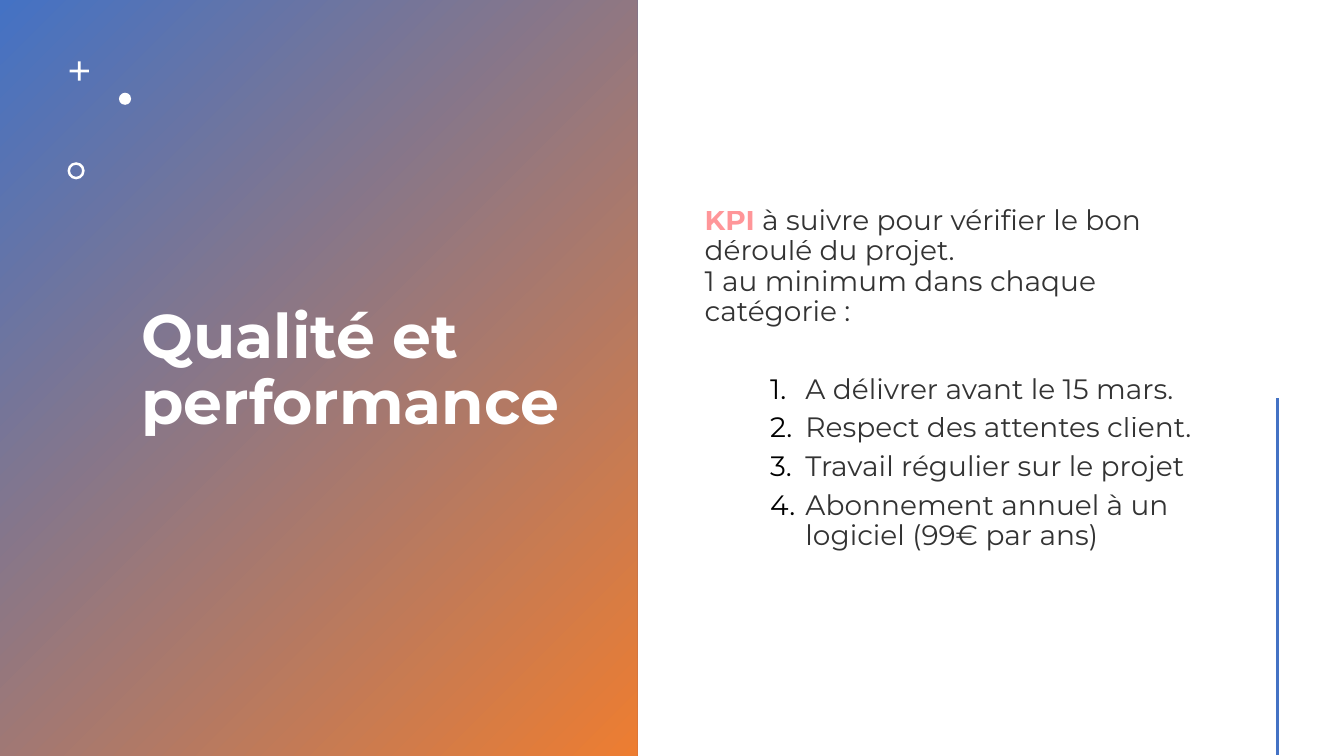
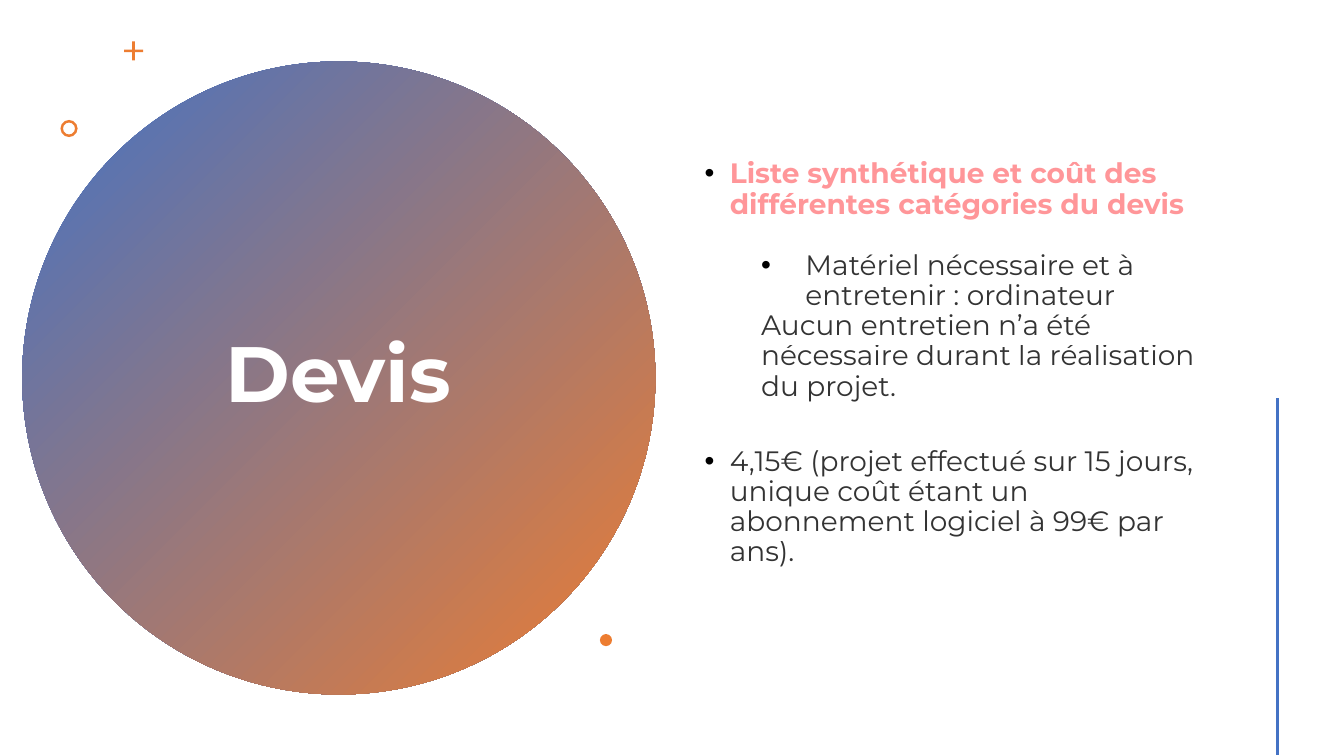
from lxml.etree import SubElement
from pptx import Presentation
from pptx.dml.color import RGBColor
from pptx.enum.shapes import MSO_CONNECTOR, MSO_SHAPE
from pptx.enum.text import MSO_ANCHOR, MSO_AUTO_SIZE, PP_ALIGN
from pptx.oxml.ns import qn
from pptx.util import Inches, Pt

BLUE = RGBColor(0x44, 0x72, 0xC4)
ORANGE = RGBColor(0xED, 0x7D, 0x31)
PINK = RGBColor(0xFF, 0x7C, 0x80)
BLACK = RGBColor(0, 0, 0)
WHITE = RGBColor(0xFF, 0xFF, 0xFF)
FONT = "Montserrat"

SLIDES = [
    {
        "title": ("Qualité et performance", 44, PP_ALIGN.LEFT, (1.3, 0.42, 4.38, 6.53)),
        "panel": (MSO_SHAPE.RECTANGLE, (0, 0, 6.32, 7.5)),
        "marks": (WHITE, (0.69, 0.61), (1.18, 0.92), (0.67, 1.61)),
        "body_top": 0.57,
        "body": [
            ([("KPI", True), (" à suivre pour vérifier le bon déroulé du projet.", False)], 0, 0, None, 0),
            ([("1 au minimum dans chaque catégorie :", False)], 0, 0, None, 0),
            ([("A délivrer avant le 15 mars.", False)], 1, -0.35, "1.", 34),
            ([("Respect des attentes client.", False)], 1, -0.35, "1.", 6),
            ([("Travail régulier sur le projet", False)], 1, -0.35, "1.", 6),
            ([("Abonnement annuel à un logiciel (99€ par ans)", False)], 1, -0.35, "1.", 6),
        ],
    },
    {
        "title": ("Devis", 56, PP_ALIGN.CENTER, (1.36, 1.41, 3.99, 4.67)),
        "panel": (MSO_SHAPE.OVAL, (0.22, 0.61, 6.28, 6.28)),
        "marks": (ORANGE, (1.23, 0.41), (5.95, 6.29), (0.6, 1.19)),
        "body_top": 0.42,
        "body": [
            ([("Liste synthétique et coût des différentes catégories du devis", True)], 0.25, -0.25, "•", 0),
            ([("Matériel nécessaire et à entretenir : ordinateur", False)], 1, -0.44, "•", 22),
            ([("Aucun entretien n’a été nécessaire durant la réalisation du projet.", False)], 0.56, 0, None, 0),
            ([("4,15€ (projet effectué sur 15 jours, unique coût étant un abonnement "
               "logiciel à 99€ par ans).", False)], 0.25, -0.25, "•", 32),
        ],
    },
]


def add_flat_shape(s, kind, box):
    sp = s.shapes.add_shape(kind, *map(Inches, box))
    sp.shadow.inherit = False
    sp.line.fill.background()
    return sp


def set_bullet(p, left, indent, bullet):
    pPr = p._p.get_or_add_pPr()
    pPr.set("marL", str(Inches(left)))
    pPr.set("indent", str(Inches(indent)))
    if bullet is None:
        SubElement(pPr, qn("a:buNone"))
        return
    SubElement(SubElement(pPr, qn("a:buClr")), qn("a:srgbClr"), val=str(BLACK))
    if bullet == "1.":
        SubElement(pPr, qn("a:buFont"), typeface=FONT)
        SubElement(pPr, qn("a:buAutoNum"), type="arabicPeriod")
    else:
        SubElement(pPr, qn("a:buFont"), typeface="Arial")
        SubElement(pPr, qn("a:buChar"), char=bullet)


prs = Presentation()
prs.slide_width, prs.slide_height = Inches(13.33), Inches(7.5)

for content in SLIDES:
    s = prs.slides.add_slide(prs.slide_layouts[5])

    panel = add_flat_shape(s, *content["panel"])
    panel.fill.gradient()
    panel.fill.gradient_angle = 315
    for stop, color in zip(panel.fill.gradient_stops, (BLUE, ORANGE)):
        stop.color.rgb = color
    s.shapes._spTree.insert(2, panel._element)

    text, size, align, box = content["title"]
    title = s.shapes.title
    title.left, title.top, title.width, title.height = map(Inches, box)
    tf = title.text_frame
    tf.text = text
    tf.word_wrap = True
    tf.auto_size = MSO_AUTO_SIZE.NONE
    tf.vertical_anchor = MSO_ANCHOR.MIDDLE
    p = tf.paragraphs[0]
    p.alignment = align
    p.line_spacing = 0.9
    font = p.runs[0].font
    font.name, font.size, font.bold = FONT, Pt(size), True
    font.color.rgb = WHITE

    color, plus, dot, ring = content["marks"]
    for kind, (x, y), size, adjust in (
        (MSO_SHAPE.CROSS, plus, 0.19, 0.43),
        (MSO_SHAPE.OVAL, dot, 0.12, None),
        (MSO_SHAPE.DONUT, ring, 0.17, 0.15),
    ):
        mark = add_flat_shape(s, kind, (x, y, size, size))
        mark.fill.solid()
        mark.fill.fore_color.rgb = color
        if adjust is not None:
            mark.adjustments[0] = adjust

    body = s.shapes.add_textbox(Inches(6.89), Inches(content["body_top"]), Inches(5.22), Inches(6.38))
    tf = body.text_frame
    tf.word_wrap = True
    tf.vertical_anchor = MSO_ANCHOR.MIDDLE
    for i, (runs, left, indent, bullet, before) in enumerate(content["body"]):
        p = tf.add_paragraph() if i else tf.paragraphs[0]
        p.line_spacing = 0.9
        p.space_before = Pt(before)
        set_bullet(p, left, indent, bullet)
        for text, strong in runs:
            r = p.add_run()
            r.text = text
            r.font.name, r.font.size, r.font.bold = FONT, Pt(20), strong
            r.font.color.rgb = PINK if strong else BLACK
            SubElement(r._r.find(".//" + qn("a:srgbClr")), qn("a:alpha"), val="80000")

    line = s.shapes.add_connector(
        MSO_CONNECTOR.STRAIGHT, Inches(12.67), Inches(3.95), Inches(12.67), Inches(7.49))
    line.line.color.rgb = BLUE
    line.line.width = Pt(2)
    SubElement(line._element.spPr, qn("a:effectLst"))

prs.save("out.pptx")
